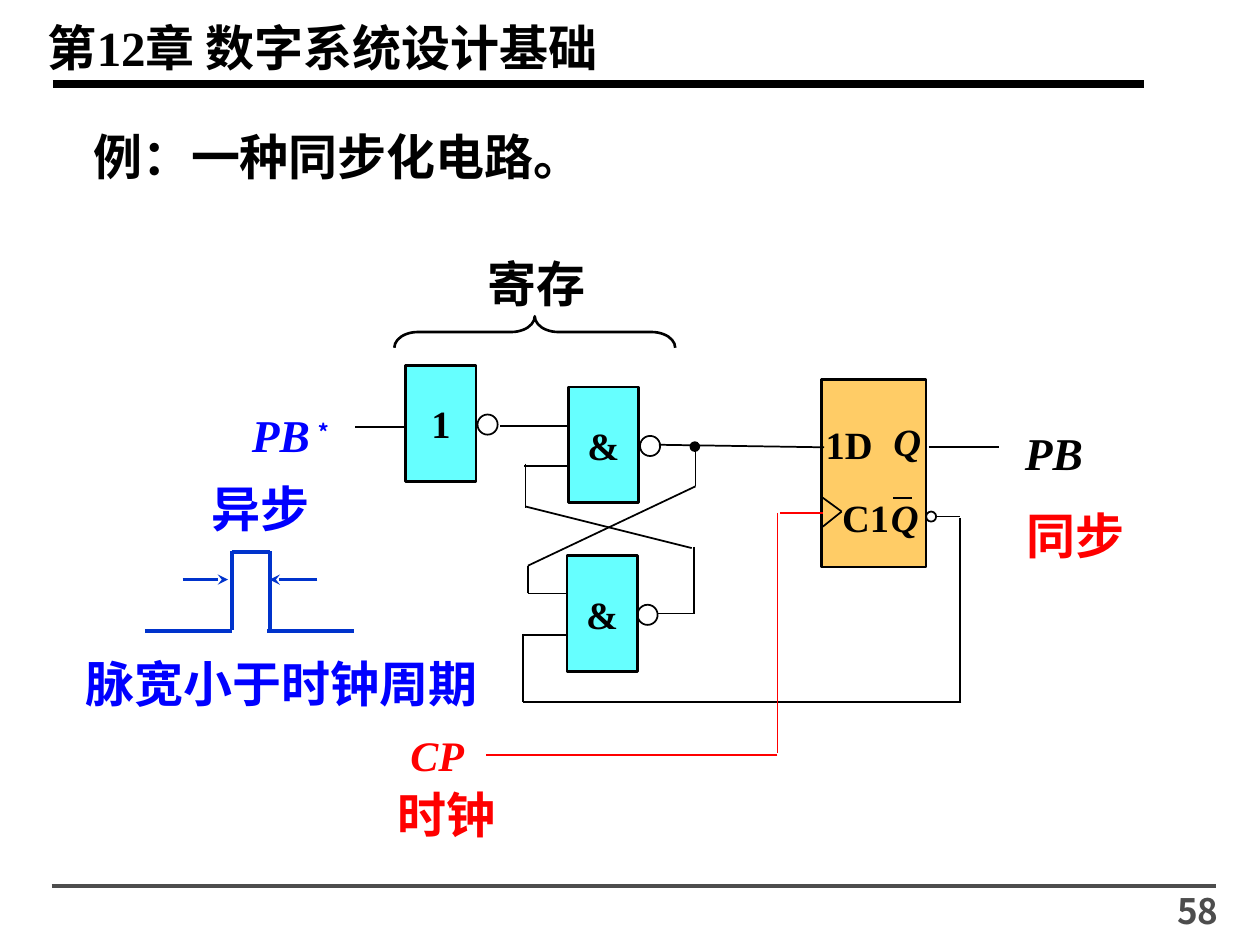
from lxml import etree
from pptx import Presentation
from pptx.dml.color import RGBColor
from pptx.enum.shapes import MSO_CONNECTOR, MSO_SHAPE
from pptx.enum.text import MSO_ANCHOR, MSO_AUTO_SIZE, PP_ALIGN
from pptx.oxml.ns import qn
from pptx.util import Inches, Pt

STRAIGHT = MSO_CONNECTOR.STRAIGHT
RECT, OVAL, BRACE = MSO_SHAPE.RECTANGLE, MSO_SHAPE.OVAL, MSO_SHAPE.RIGHT_BRACE
LEFT, CENTER, RIGHT = PP_ALIGN.LEFT, PP_ALIGN.CENTER, PP_ALIGN.RIGHT
SERIF, SANS = "Times New Roman", "Noto Sans CJK SC"
COLORS = {
    "black": "000000", "gray": "4D4D4D", "red": "FF0000", "blue": "0000FF",
    "pulse": "0033CC", "gate": "66FFFF", "flipflop": "FFCC66",
}
RGB = {name: RGBColor.from_string(code) for name, code in COLORS.items()}

prs = Presentation()
prs.slide_width, prs.slide_height = Inches(10), Inches(7.5)
s = prs.slides.add_slide(prs.slide_layouts[5])


def write(sp, text, size, color="black", italic=False, align=CENTER,
          anchor=MSO_ANCHOR.TOP, wrap=True, margins=(0.1, 0.05), font=SERIF):
    """Put one bold paragraph into a shape and return the paragraph."""
    tf = sp.text_frame
    tf.auto_size = MSO_AUTO_SIZE.NONE
    tf.word_wrap = wrap
    tf.vertical_anchor = anchor
    tf.margin_left = tf.margin_right = Inches(margins[0])
    tf.margin_top = tf.margin_bottom = Inches(margins[1])
    p = tf.paragraphs[0]
    p.text = text
    p.alignment = align
    p.font.name, p.font.size = font, Pt(size)
    p.font.bold, p.font.italic = True, italic
    p.font.color.rgb = RGB[color]
    return p


def add_outline(kind, x, y, w, h, width, fill=None):
    """Add a black-outlined preset shape, hollow unless a fill is named."""
    sp = s.shapes.add_shape(kind, Inches(x), Inches(y), Inches(w), Inches(h))
    sp.shadow.inherit = False
    if fill:
        sp.fill.solid()
        sp.fill.fore_color.rgb = RGB[fill]
    else:
        sp.fill.background()
    sp.line.color.rgb = RGB["black"]
    sp.line.width = Pt(width)
    return sp


# Chapter title
title = s.shapes.title
title.left, title.top = Inches(0.28), Inches(0.09)
title.width, title.height = Inches(6.24), Inches(0.57)
write(title, "第12章 数字系统设计基础", 28, align=LEFT)

# Gates, flip-flop, inversion bubbles, junction and brace
for symbol, x, y in [("1", 3.22, 2.9), ("&", 4.51, 3.07), ("&", 4.5, 4.41)]:
    gate = add_outline(RECT, x, y, 0.56, 0.92, 1.5, "gate")
    write(gate, symbol, 22, anchor=MSO_ANCHOR.MIDDLE, wrap=False)
add_outline(RECT, 6.52, 3.01, 0.83, 1.49, 1.5, "flipflop")
for x, y, d in [(3.79, 3.29, 0.16), (5.08, 3.46, 0.16), (5.06, 4.8, 0.16), (7.35, 4.06, 0.08)]:
    add_outline(OVAL, x, y, d, d, 1)
add_outline(OVAL, 5.48, 3.51, 0.07, 0.07, 1, "black")
brace = add_outline(BRACE, 4.12, 1.52, 0.25, 2.23, 1.5)
brace.rotation = 270
brace.adjustments[0] = 0.75

# Lines by style: (color, width, arrowhead, [(x1, y1, x2, y2), ...])
line_groups = [
    ("black", 4.5, None, [(0.42, 0.67, 9.08, 0.67)]),
    ("gray", 2, None, [(0.41, 7.03, 9.65, 7.03)]),
    ("black", 1, None, [
        # Input and gate outputs
        (3.22, 3.39, 2.82, 3.39), (3.97, 3.38, 4.51, 3.38), (5.23, 3.53, 6.54, 3.55),
        # Cross-coupled latch
        (4.51, 3.7, 4.16, 3.7), (4.17, 3.68, 4.17, 4.03), (4.17, 4.02, 5.49, 4.35),
        (5.51, 4.34, 5.51, 4.87), (5.22, 4.87, 5.51, 4.87),
        (4.19, 4.71, 4.49, 4.71), (4.19, 4.71, 4.19, 4.49),
        (4.19, 4.49, 5.52, 3.86), (5.52, 3.86, 5.52, 3.52),
        # Clock wedge, overbar and output
        (6.53, 3.95, 6.68, 4.06), (6.68, 4.06, 6.53, 4.18),
        (7.09, 3.95, 7.24, 3.95), (7.37, 3.55, 7.93, 3.55),
        # Feedback
        (7.43, 4.1, 7.62, 4.1), (7.62, 4.11, 7.62, 5.57), (7.63, 5.57, 4.15, 5.57),
        (4.15, 5.03, 4.15, 5.57), (4.49, 5.04, 4.14, 5.04),
    ]),
    ("red", 1, None, [
        (6.19, 4.07, 6.53, 4.07), (6.17, 4.07, 6.17, 5.98), (6.17, 5.99, 3.86, 5.99),
    ]),
    ("pulse", 2.25, None, [
        (1.15, 5.01, 1.84, 5.01), (1.84, 5, 1.84, 4.37), (1.84, 4.38, 2.14, 4.38),
        (2.14, 5, 2.14, 4.37), (2.12, 5.01, 2.81, 5.01),
    ]),
    ("pulse", 1.5, "stealth", [(1.45, 4.6, 1.81, 4.6), (2.52, 4.6, 2.14, 4.6)]),
]
for color, width, arrow, lines in line_groups:
    for points in lines:
        line = s.shapes.add_connector(STRAIGHT, *map(Inches, points))
        line.line.color.rgb = RGB[color]
        line.line.width = Pt(width)
        if arrow:
            etree.SubElement(line.line._get_or_add_ln(), qn("a:tailEnd"), type=arrow)
        etree.SubElement(line._element.spPr, qn("a:effectLst"))

# Labels by style: (size, color, italic, align, margins, font, [(text, x, y, w, h), ...])
TIGHT, ROOMY = (0.02, 0.01), (0.1, 0.05)
label_groups = [
    (28, "black", False, LEFT, TIGHT, SERIF, [("例：一种同步化电路。", 0.72, 0.99, 5.6, 0.49)]),
    (28, "black", False, CENTER, ROOMY, SERIF, [("寄存", 3.49, 1.96, 1.53, 0.57)]),
    (28, "blue", False, CENTER, ROOMY, SERIF, [
        ("异步", 1.46, 3.75, 1.22, 0.57), ("脉宽小于时钟周期", 0.21, 5.14, 4.05, 0.57),
    ]),
    (28, "red", False, CENTER, ROOMY, SERIF, [
        ("同步", 7.97, 3.96, 1.13, 0.57), ("时钟", 2.95, 6.18, 1.18, 0.57),
    ]),
    (22, "black", False, CENTER, TIGHT, SERIF, [
        ("1D", 6.51, 3.33, 0.46, 0.39), ("C1", 6.64, 3.91, 0.46, 0.39),
    ]),
    (22, "black", True, CENTER, TIGHT, SERIF, [
        ("Q", 6.97, 3.31, 0.46, 0.39), ("Q", 6.95, 3.91, 0.46, 0.39),
    ]),
    (24, "red", True, CENTER, TIGHT, SERIF, [("CP", 3.13, 5.78, 0.68, 0.42)]),
    (26, "black", True, CENTER, TIGHT, SERIF, [("PB", 8.01, 3.36, 0.71, 0.46)]),
    (20, "gray", False, RIGHT, ROOMY, SANS, [("58", 8.38, 7.01, 1.39, 0.39)]),
]
for size, color, italic, align, margins, font, labels in label_groups:
    for text, *box in labels:
        sp = s.shapes.add_textbox(*map(Inches, box))
        write(sp, text, size, color, italic, align, margins=margins, font=font)

# Asynchronous input with its raised asterisk
sp = s.shapes.add_textbox(Inches(1.88), Inches(3.22), Inches(0.91), Inches(0.46))
p = write(sp, "PB", 26, "blue", True, margins=TIGHT)
r = p.add_run()
r.text = "﹡"
r.font.italic = False
r._r.get_or_add_rPr().set("baseline", "30000")

prs.save("out.pptx")
